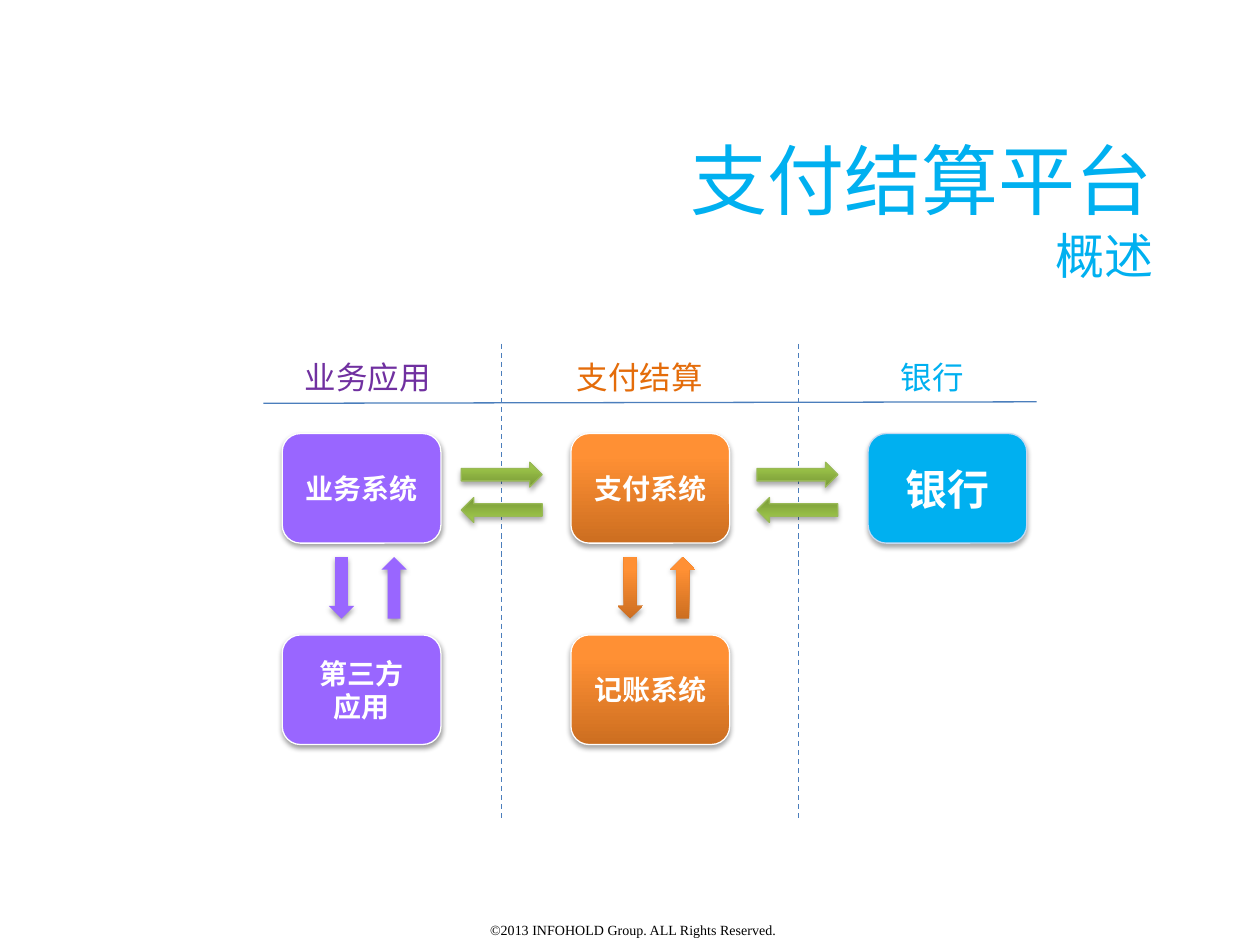
import copy

import pptx
import pptx.dml.color
import pptx.enum.dml
import pptx.enum.shapes
import pptx.enum.text
import pptx.oxml.ns
import pptx.util
from lxml import etree

Cm, Pt = pptx.util.Cm, pptx.util.Pt
RGB = pptx.dml.color.RGBColor.from_string
qn = pptx.oxml.ns.qn
MSO = pptx.enum.shapes.MSO_SHAPE
ALIGN = pptx.enum.text.PP_ALIGN
ANCHOR = pptx.enum.text.MSO_ANCHOR


class Theme:
    white, black, blue = "FFFFFF", "000000", "00B0F0"
    violet, purple, orange_text = "9966FF", "7030A0", "E46C0A"
    rule, pale, green_line = "4B7EBC", "C6D9F1", "98B955"
    # Gradient stops run from bottom to top
    orange = [(0, "CC6E20"), (0.8, "FF9034"), (1, "FF9136")]
    green = [(0, "779737"), (0.8, "9BC348"), (1, "9DC746")]
    title, subtitle, bank, label, box, footer = 44, 28, 24, 18, 16, 8
    body_font, title_font, footer_font = "Calibri", "Noto Sans CJK SC", "Times New Roman"
    hairline = 0.75


def write(sp, text, sizes, color, font=Theme.body_font, bold=False,
          align=ALIGN.LEFT, anchor=ANCHOR.TOP, wrap=True):
    """Fill a shape with one paragraph; each line takes its own size."""
    tf = sp.text_frame
    tf.word_wrap, tf.vertical_anchor = wrap, anchor
    p = tf.paragraphs[0]
    p.alignment = align
    for i, (line, size) in enumerate(zip(text.split("\n"), sizes)):
        if i:
            p.add_line_break()
        r = p.add_run()
        r.text = line
        r.font.size, r.font.name, r.font.bold = Pt(size), font, bold
        r.font.color.rgb = RGB(color)
        r.font._element.find(qn("a:latin")).addnext(
            etree.Element(qn("a:ea"), typeface=font))
    return tf


def add_block(kind, x, y, w, h, fill, line=None, alpha=35, dist=1.8):
    """Add a shape with a solid or gradient fill and a soft shadow below."""
    sp = s.shapes.add_shape(kind, Cm(x), Cm(y), Cm(w), Cm(h))
    if isinstance(fill, str):
        sp.fill.solid()
        sp.fill.fore_color.rgb = RGB(fill)
    else:
        sp.fill.gradient()
        sp.fill.gradient_angle = 90
        stops = sp._element.spPr.find(".//" + qn("a:gsLst"))
        stops.append(copy.deepcopy(stops[0]))
        for stop, (position, color) in zip(sp.fill.gradient_stops, fill):
            stop.position, stop.color.rgb = position, RGB(color)
    if line:
        sp.line.color.rgb = RGB(line)
        sp.line.width = Pt(Theme.hairline)
    else:
        sp.line.fill.background()
    sp.shadow.inherit = False
    shadow = etree.SubElement(
        sp._element.spPr.find(qn("a:effectLst")), qn("a:outerShdw"),
        blurRad=str(Pt(3.1)), dist=str(Pt(dist)), dir="5400000", rotWithShape="0")
    color = etree.SubElement(shadow, qn("a:srgbClr"), val=Theme.black)
    etree.SubElement(color, qn("a:alpha"), val=str(alpha * 1000))
    return sp


prs = pptx.Presentation()
prs.slide_width, prs.slide_height = Cm(25.4), Cm(19.05)
s = prs.slides.add_slide(prs.slide_layouts[6])

# Footer
sp = s.shapes.add_textbox(Cm(9.88), Cm(18.57), Cm(5.82), Cm(0.33))
tf = write(sp, "©2013 INFOHOLD Group. ALL Rights Reserved.", [Theme.footer],
           Theme.black, font=Theme.footer_font, wrap=False)
tf.margin_left = tf.margin_right = tf.margin_top = tf.margin_bottom = 0

# Title
sp = s.shapes.add_textbox(Cm(1.91), Cm(2.16), Cm(21.59), Cm(4.09))
write(sp, "支付结算平台\n概述", [Theme.title, Theme.subtitle], Theme.blue,
      font=Theme.title_font, align=ALIGN.RIGHT, anchor=ANCHOR.MIDDLE)

# Column dividers and heading rule
for x1, y1, x2, y2, dash in [(10.11, 6.93, 10.11, 16.54, True),
                             (16.1, 6.93, 16.1, 16.54, True),
                             (5.31, 8.13, 20.9, 8.1, False)]:
    cx = s.shapes.add_connector(pptx.enum.shapes.MSO_CONNECTOR.STRAIGHT,
                                Cm(x1), Cm(y1), Cm(x2), Cm(y2))
    cx.line.color.rgb = RGB(Theme.rule)
    cx.line.width = Pt(Theme.hairline)
    if dash:
        cx.line.dash_style = pptx.enum.dml.MSO_LINE.DASH
    etree.SubElement(cx._element.spPr, qn("a:effectLst"))

# Column headings
for x, text, color, align in [(5.89, "业务应用", Theme.purple, ALIGN.LEFT),
                              (11.38, "支付结算", Theme.orange_text, ALIGN.LEFT),
                              (17.09, "银行", Theme.blue, ALIGN.CENTER)]:
    sp = s.shapes.add_textbox(Cm(x), Cm(7.09), Cm(3.4), Cm(1.02))
    write(sp, text, [Theme.label], color, align=align)

# System boxes, with a pair of vertical arrows where a column has two
box_w, box_h, box_tops = 3.2, 2.21, (8.74, 12.8)
violet_shadow = dict(alpha=38, dist=1.6)
for x, names, fill, line, size, shadow in [
        (5.69, ["业务系统", "第三方\n应用"], Theme.violet, Theme.white, Theme.box, violet_shadow),
        (11.51, ["支付系统", "记账系统"], Theme.orange, Theme.white, Theme.box, {}),
        (17.5, ["银行"], Theme.blue, Theme.pale, Theme.bank, {})]:
    for y, name in zip(box_tops, names):
        sp = add_block(MSO.ROUNDED_RECTANGLE, x, y, box_w, box_h, fill, line, **shadow)
        write(sp, name, [size, size], Theme.white, bold=True,
              align=ALIGN.CENTER, anchor=ANCHOR.MIDDLE)
    if len(names) == 2:
        for kind, dx in [(MSO.DOWN_ARROW, 0.94), (MSO.UP_ARROW, 2)]:
            add_block(kind, x + dx, 11.23, 0.51, 1.24, fill, **shadow)

# Horizontal arrows between columns
for x in (9.3, 15.26):
    for y, rotation in [(9.32, 0), (10.03, 180)]:
        sp = add_block(MSO.RIGHT_ARROW, x, y, 1.63, 0.5, Theme.green, Theme.green_line)
        sp.rotation = rotation

prs.save("out.pptx")
